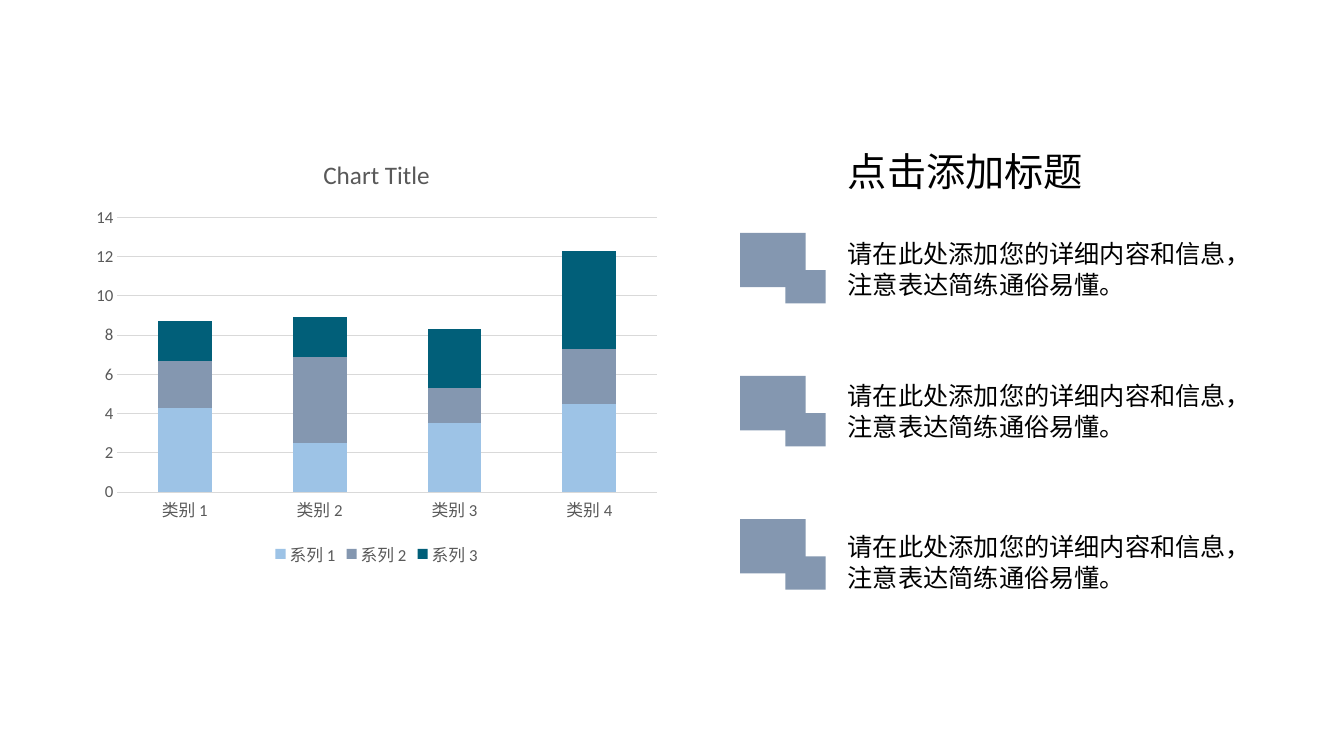
from pptx import Presentation
from pptx.chart.data import CategoryChartData
from pptx.dml.color import RGBColor
from pptx.enum.chart import XL_CHART_TYPE as CT, XL_LEGEND_POSITION as LP, XL_TICK_MARK as TM
from pptx.enum.shapes import MSO_SHAPE as SHAPE
from pptx.enum.text import MSO_ANCHOR as ANCHOR, MSO_AUTO_SIZE as AUTO, PP_ALIGN as ALIGN
from pptx.oxml.ns import qn
from pptx.util import Inches, Pt
from lxml import etree

THEME = {
    "white": RGBColor.from_string("FFFFFF"),
    "text": RGBColor.from_string("000000"),
    "label": RGBColor.from_string("595959"),
    "grid": RGBColor.from_string("D9D9D9"),
    "accent": RGBColor.from_string("8497B0"),
    "series": [RGBColor.from_string(c) for c in ("9DC3E6", "8497B0", "015F79")],
    "latin": "Calibri",
    "cjk": "Noto Sans CJK JP",
    "title": 28,
    "body": 18,
    "chart_title": 18,
    "chart_label": 12,
}


def set_font(font, **formats):
    color = formats.pop("color")
    for name, value in formats.items():
        setattr(font, name, value)
    font.color.rgb = color


def write_text(sp, box, text, size, leading, wrap):
    sp.left, sp.top, sp.width, sp.height = (Inches(v) for v in box)
    tf = sp.text_frame
    frame_formats = {"word_wrap": wrap, "vertical_anchor": ANCHOR.TOP,
                     "auto_size": AUTO.SHAPE_TO_FIT_TEXT}
    for name, value in frame_formats.items():
        setattr(tf, name, value)
    p = tf.paragraphs[0]
    paragraph_formats = {"alignment": ALIGN.LEFT, "line_spacing": Pt(leading), "space_before": Pt(0)}
    for name, value in paragraph_formats.items():
        setattr(p, name, value)
    r = p.add_run()
    r.text = text
    set_font(r.font, name=THEME["cjk"], size=Pt(size), color=THEME["text"])
    latin = r.font._element.find(qn("a:latin"))
    ea = etree.Element(qn("a:ea"), typeface=THEME["cjk"])
    latin.addnext(ea)


prs = Presentation()
prs.slide_width, prs.slide_height = Inches(13.33), Inches(7.5)
s = prs.slides.add_slide(prs.slide_layouts[5])
s.background.fill.solid()
s.background.fill.fore_color.rgb = THEME["white"]

data = CategoryChartData()
data.categories = [f"类别 {n}" for n in range(1, 5)]
values = [(4.3, 2.5, 3.5, 4.5), (2.4, 4.4, 1.8, 2.8), (2, 2, 3, 5)]
for n, row in enumerate(values, 1):
    data.add_series(f"系列 {n}", row)
chart = s.shapes.add_chart(CT.COLUMN_STACKED, Inches(0.84), Inches(1.38),
                           Inches(5.79), Inches(4.28), data).chart

label_font = {"name": THEME["latin"], "size": Pt(THEME["chart_label"]), "color": THEME["label"]}
set_font(chart.font, **label_font)
chart.has_title = True
chart.chart_title.include_in_layout = False
p = chart.chart_title.text_frame.paragraphs[0]
r = p.add_run()
r.text = "Chart Title"
set_font(r.font, name=THEME["latin"], size=Pt(THEME["chart_title"]), bold=False, color=THEME["label"])

chart.has_legend = True
chart.legend.position = LP.BOTTOM
chart.legend.include_in_layout = False
set_font(chart.legend.font, **label_font)

plot = chart.plots[0]
for name, value in {"gap_width": 150, "overlap": 100, "vary_by_categories": False}.items():
    setattr(plot, name, value)
for series, color in zip(plot.series, THEME["series"]):
    series.format.fill.solid()
    series.format.fill.fore_color.rgb = color

for axis in (chart.category_axis, chart.value_axis):
    axis.major_tick_mark = axis.minor_tick_mark = TM.NONE
    set_font(axis.tick_labels.font, **label_font)
chart.value_axis.format.line.fill.background()
chart.value_axis.has_major_gridlines = True
for line in (chart.category_axis.format.line, chart.value_axis.major_gridlines.format.line):
    line.color.rgb = THEME["grid"]
    line.width = Pt(0.75)

write_text(s.shapes.title, (8.31, 1.38, 2.56, 0.57), "点击添加标题", THEME["title"], 36, False)

marker_top, marker_step = 2.31, 1.42
marker_squares = [(7.34, 0, 0.65, 0.54), (7.79, 0.37, 0.4, 0.33)]
for i, text_top in enumerate((2.31, 3.72, 5.22)):
    caption = s.shapes.add_textbox(0, 0, 0, 0)
    write_text(caption, (8.31, text_top, 4.42, 0.71),
               "请在此处添加您的详细内容和信息，注意表达简练通俗易懂。", THEME["body"], 22, True)
    for left, drop, width, height in marker_squares:
        top = marker_top + i * marker_step + drop
        sp = s.shapes.add_shape(SHAPE.RECTANGLE, Inches(left), Inches(top), Inches(width), Inches(height))
        sp.shadow.inherit = False
        sp.fill.solid()
        sp.fill.fore_color.rgb = THEME["accent"]
        sp.line.fill.background()

prs.save("out.pptx")
